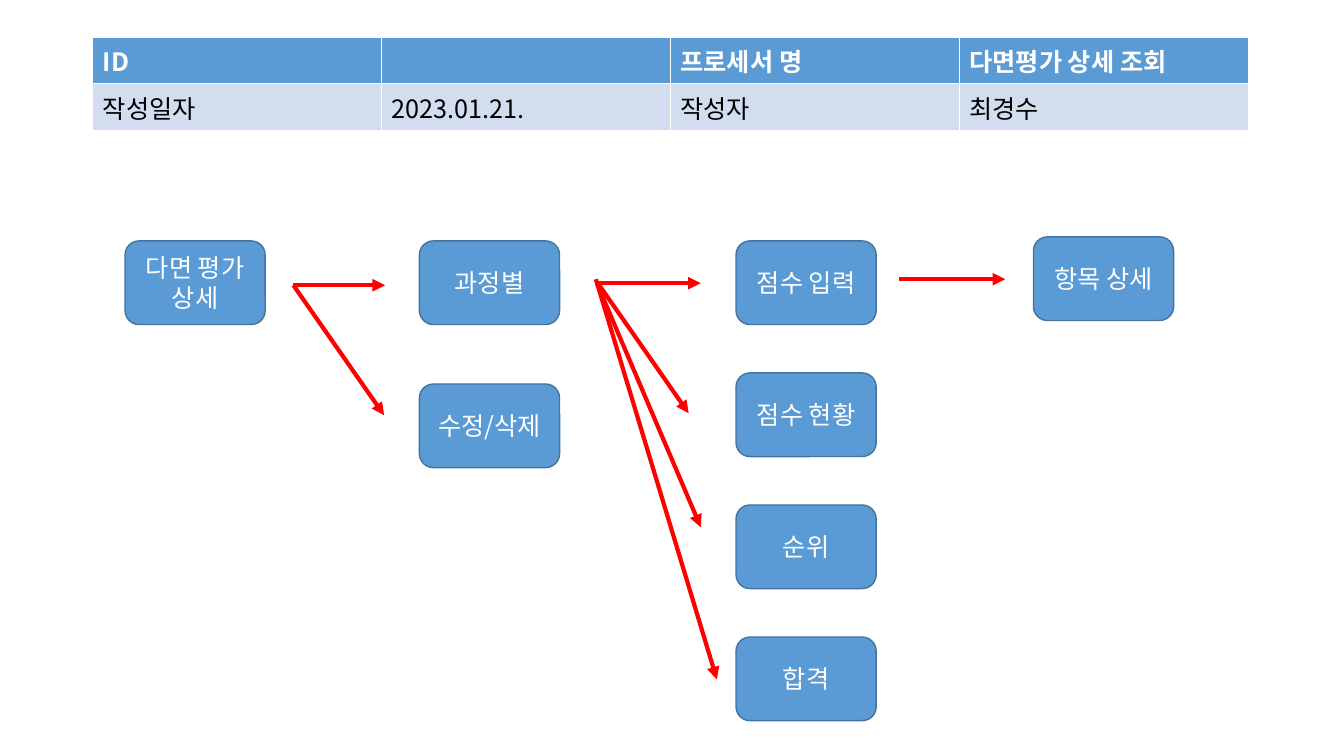
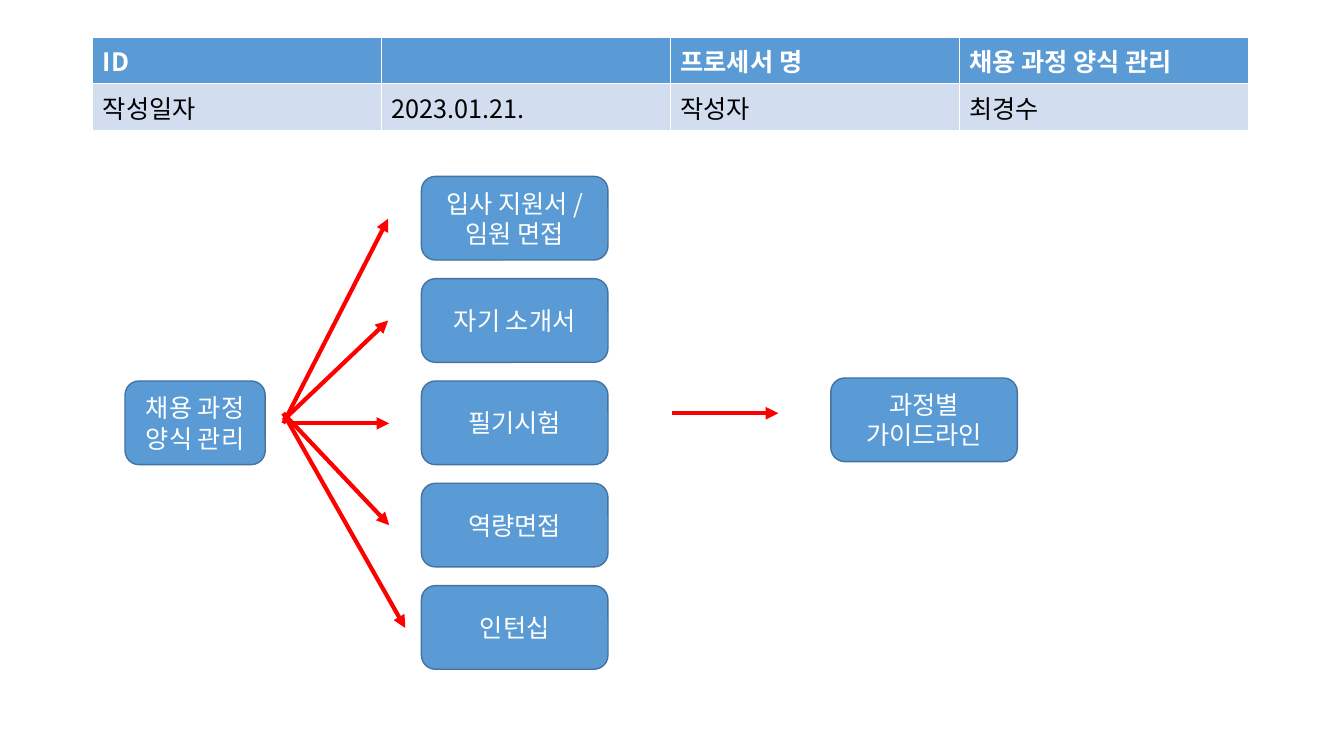
from pptx import Presentation
from pptx.dml.color import RGBColor
from pptx.enum.shapes import MSO_CONNECTOR as LineKind, MSO_SHAPE as Preset
from pptx.enum.text import MSO_ANCHOR as Anchor, PP_ALIGN as Align
from pptx.oxml.ns import qn
from pptx.util import Inches, Pt
from lxml.etree import SubElement

# Shared look
FONT = "Noto Sans CJK KR"
BLUE, EDGE, PALE = "5B9BD5", "43739E", "D2DEEF"
RED, WHITE, BLACK = "FF0000", "FFFFFF", "000000"
BOX_WIDTH, BOX_HEIGHT = 1.39, 0.83


def color(value):
    return RGBColor.from_string(value)


def paint(target, value):
    target.fill.solid()
    target.fill.fore_color.rgb = color(value)


def style_text(frame, value, bold=False, align=Align.LEFT):
    for para in frame.paragraphs:
        para.alignment = align
        for span in para.runs:
            span.font.name = FONT
            span.font.size = Pt(18)
            span.font.bold = bold
            span.font.color.rgb = color(value)
            SubElement(span.font._element, qn("a:ea"), typeface=FONT)


def border_cell(cell):
    properties = cell._tc.get_or_add_tcPr()
    for index, side in enumerate(("lnL", "lnR", "lnT", "lnB")):
        line = SubElement(properties, qn(f"a:{side}"), w=str(Pt(1)))
        SubElement(SubElement(line, qn("a:solidFill")), qn("a:srgbClr"), val=WHITE)
        properties.insert(index, line)


# Document information at the top of each slide
def add_header(page, left, top, width, title):
    rows = [["ID", "", "프로세서 명", title],
            ["작성일자", "2023.01.21.", "작성자", "최경수"]]
    looks = [(BLUE, WHITE, True), (PALE, BLACK, False)]
    table = page.shapes.add_table(2, 4, Inches(left), Inches(top),
                                  Inches(width), Inches(0.84)).table
    for row, texts, (fill, ink, bold) in zip(table.rows, rows, looks):
        for cell, text in zip(row.cells, texts):
            cell.text = text
            paint(cell, fill)
            border_cell(cell)
            style_text(cell.text_frame, ink, bold)


# A column of equally spaced step boxes
def add_steps(page, left, top, labels, width=BOX_WIDTH, pitch=0):
    for index, label in enumerate(labels):
        box = page.shapes.add_shape(
            Preset.ROUNDED_RECTANGLE, Inches(left), Inches(top + index * pitch),
            Inches(width), Inches(BOX_HEIGHT))
        box.shadow.inherit = False
        paint(box, BLUE)
        box.line.color.rgb = color(EDGE)
        box.line.width = Pt(1)
        box.text_frame.text = label
        box.text_frame.word_wrap = True
        box.text_frame.vertical_anchor = Anchor.MIDDLE
        style_text(box.text_frame, WHITE, align=Align.CENTER)


# Red arrows, each given as start x, start y, end x, end y
def add_arrows(page, arrows):
    for ends in arrows:
        arrow = page.shapes.add_connector(LineKind.STRAIGHT, *map(Inches, ends))
        arrow.line.color.rgb = color(RED)
        arrow.line.width = Pt(3)
        SubElement(arrow.line._get_or_add_ln(), qn("a:tailEnd"), type="triangle")
        SubElement(arrow._element.spPr, qn("a:effectLst"))


def add_flow_page(deck, title, arrows, columns):
    page = deck.slides.add_slide(deck.slide_layouts[6])
    add_header(page, 0.92, 0.37, 11.46, title)
    add_arrows(page, arrows)
    for column in columns:
        add_steps(page, **column)


deck = Presentation()
deck.slide_width, deck.slide_height = Inches(13.33), Inches(7.5)

# Evaluation details
add_flow_page(
    deck, "다면평가 상세 조회",
    arrows=[(2.91, 2.83, 3.82, 2.83), (2.91, 2.83, 3.81, 4.12),
            (5.9, 2.81, 6.95, 2.81), (5.93, 2.81, 6.83, 4.1),
            (5.92, 2.81, 6.95, 5.23), (5.91, 2.77, 7.11, 6.74),
            (8.92, 2.77, 9.97, 2.77)],
    columns=[
        dict(left=1.24, top=2.39, labels=["다면 평가\n상세"]),
        dict(left=4.16, top=2.39, labels=["과정별", "수정/삭제"], pitch=1.42),
        dict(left=7.3, top=2.39, pitch=1.31,
             labels=["점수 입력", "점수 현황", "순위", "합격"]),
        dict(left=10.25, top=2.35, labels=["항목 상세"]),
    ])

# Recruitment forms
add_flow_page(
    deck, "채용 과정 양식 관리",
    arrows=[(2.81, 4.2, 3.85, 2.17), (2.81, 4.17, 3.85, 3.18),
            (2.91, 4.2, 3.86, 4.2), (2.81, 4.1, 3.86, 5.21),
            (2.81, 4.1, 4.02, 6.23), (6.67, 4.1, 7.72, 4.1)],
    columns=[
        dict(left=1.24, top=3.78, labels=["채용 과정\n양식 관리"]),
        dict(left=4.18, top=1.75, width=1.85, pitch=(5.81 - 1.75) / 4,
             labels=["입사 지원서 /\n임원 면접", "자기 소개서", "필기시험",
                     "역량면접", "인턴십"]),
        dict(left=8.24, top=3.75, width=1.85, labels=["과정별 가이드라인"]),
    ])

deck.save("out.pptx")
